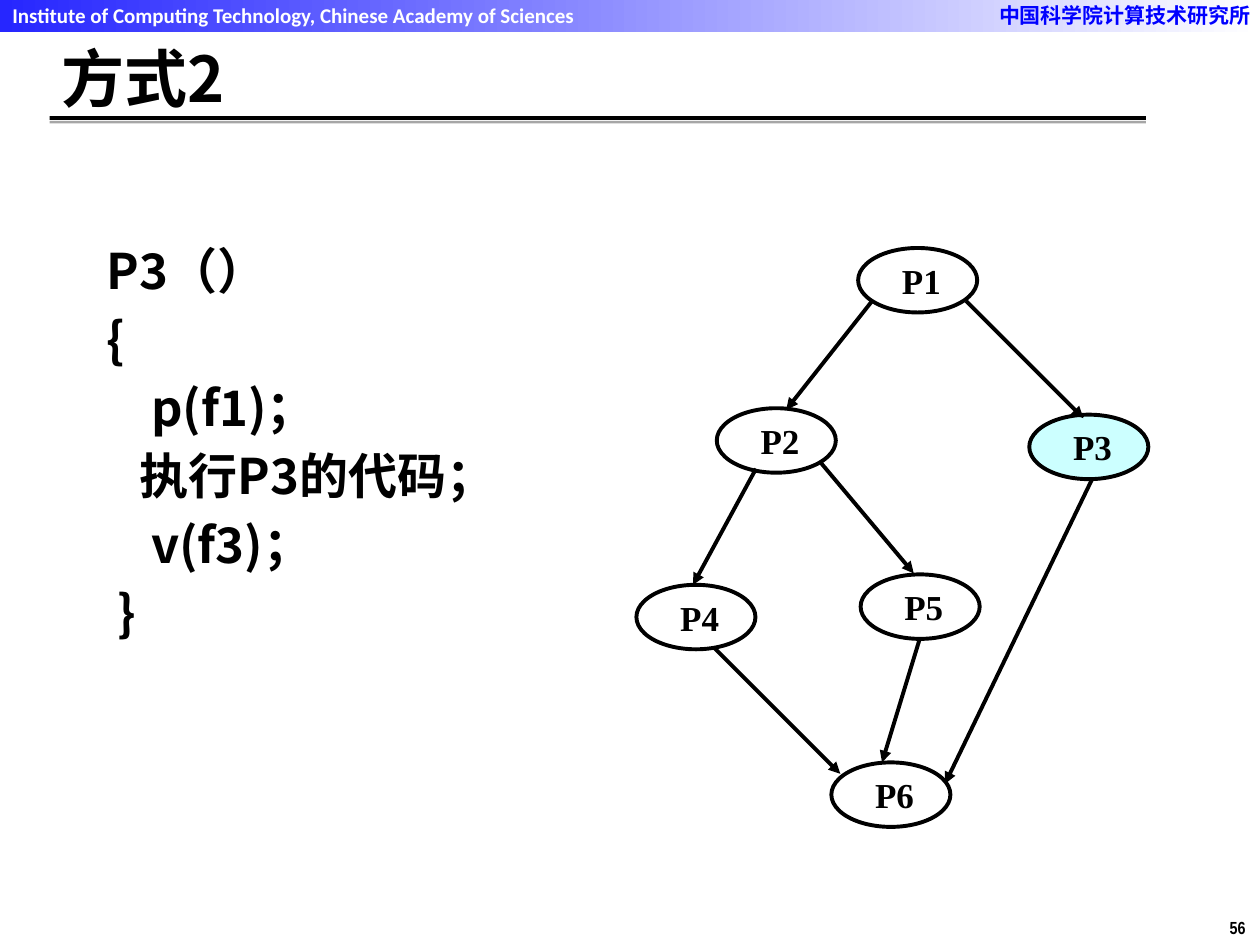
from lxml import etree
from pptx import Presentation
from pptx.dml.color import RGBColor
from pptx.enum.shapes import MSO_CONNECTOR, MSO_SHAPE
from pptx.enum.text import MSO_ANCHOR, PP_ALIGN
from pptx.oxml.ns import qn
from pptx.util import Cm, Pt

RECT, OVAL, STRAIGHT = MSO_SHAPE.RECTANGLE, MSO_SHAPE.OVAL, MSO_CONNECTOR.STRAIGHT
TOP, MIDDLE = MSO_ANCHOR.TOP, MSO_ANCHOR.MIDDLE
LEFT, CENTER, JUSTIFY = PP_ALIGN.LEFT, PP_ALIGN.CENTER, PP_ALIGN.JUSTIFY
CJK = "Noto Sans CJK SC"
BLACK, WHITE, BLUE, CYAN, GREY = "000000", "FFFFFF", "0000FF", "CCFFFF", "A6A6A6"

CODE = ["P3（）", "{", "    p(f1)；", "   执行P3的代码；", "    v(f3)；", " }"]
NODE_W, NODE_H = 2.4, 1.3
NODES = {
    "P1": (4.47, 0), "P2": (1.62, 3.23), "P3": (7.92, 3.36),
    "P4": (0, 6.79), "P5": (4.52, 6.58), "P6": (3.93, 10.37),
}
EDGES = [
    (4.75, 1.07, 3.02, 3.26), (6.65, 1.07, 9.01, 3.43),
    (2.41, 4.45, 1.14, 6.79), (3.71, 4.32, 5.59, 6.56),
    (1.57, 8.06, 4.11, 10.6), (5.71, 7.88, 4.95, 10.37),
    (9.19, 4.65, 6.22, 10.8),
]


def rgb(color):
    """Turn a hex string into a colour."""
    return RGBColor.from_string(color)


def style_text(tf, size, font, color, align=LEFT):
    """Format every run of a text frame in bold."""
    for p in tf.paragraphs:
        p.alignment = align
        for r in p.runs:
            r.font.size, r.font.name, r.font.bold = Pt(size), font, True
            r.font.color.rgb = rgb(color)
            etree.SubElement(r._r.get_or_add_rPr(), qn("a:ea"), typeface=font)


def add_text(s, box, text, size, font, color, align=LEFT, anchor=TOP, wrap=True):
    """Add a text box and return its frame."""
    tf = s.shapes.add_textbox(*map(Cm, box)).text_frame
    tf.word_wrap, tf.vertical_anchor = wrap, anchor
    tf.text = text
    style_text(tf, size, font, color, align)
    return tf


def add_shape(s, kind, box, fill=None):
    """Add a preset shape without line or shadow."""
    sp = s.shapes.add_shape(kind, *map(Cm, box))
    sp.shadow.inherit = False
    sp.line.fill.background()
    if fill:
        sp.fill.solid()
        sp.fill.fore_color.rgb = rgb(fill)
    return sp


def add_arrow(s, x1, y1, x2, y2):
    """Add a straight line with a triangle at its end."""
    line = s.shapes.add_connector(STRAIGHT, *map(Cm, (x1, y1, x2, y2)))
    line.line.color.rgb = rgb(BLACK)
    line.line.width = Pt(2.25)
    etree.SubElement(line.line._get_or_add_ln(), qn("a:tailEnd"), type="triangle")
    etree.SubElement(line._element.spPr, qn("a:effectLst"))


def add_banner(s, x, y, w, h):
    """Draw the gradient band with the institute's names."""
    fill = add_shape(s, RECT, (x, y, w, h)).fill
    fill.gradient()
    fill.gradient_angle = 0
    for stop, color in zip(fill.gradient_stops, ("2626FF", WHITE)):
        stop.color.rgb = rgb(color)
    add_text(s, (x, y - 0.08, 12.07, 0.76),
             "Institute of Computing Technology, Chinese Academy of Sciences",
             12, "Calibri", WHITE)
    add_text(s, (x + w - 5.51, y - 0.08, 5.69, 0.76), "中国科学院计算技术研究所",
             12, CJK, BLUE)


def add_title(s, x, y, w, h, text):
    """Write the title above its double rule."""
    add_text(s, (x, y, w, h), text, 36, CJK, BLACK, anchor=MIDDLE)
    add_shape(s, RECT, (x, y + h + 0.08, w, 0.08), BLACK)
    add_shape(s, RECT, (x, y + h + 0.18, w, 0.05), GREY)


def add_code(s, x, y, w, h):
    """Write the code of process P3."""
    tf = add_text(s, (x, y, w, h), "\n".join(CODE), 28, CJK, BLACK, JUSTIFY)
    for i, p in enumerate(tf.paragraphs):
        p.line_spacing = Pt(36)
        p.space_before = Pt(3 if i else 0)
        pPr = p._p.get_or_add_pPr()
        pPr.set("marL", str(Cm(0.96)))
        pPr.set("indent", str(-Cm(0.96)))


def add_graph(s, x, y):
    """Draw the precedence graph of the processes."""
    for name, (dx, dy) in NODES.items():
        fill = CYAN if name == "P3" else WHITE
        sp = add_shape(s, OVAL, (x + dx, y + dy, NODE_W, NODE_H), fill)
        sp.line.color.rgb = rgb(BLACK)
        sp.line.width = Pt(2.25)
        tf = sp.text_frame
        tf.margin_left = Cm(0.15)
        tf.margin_right = tf.margin_top = tf.margin_bottom = 0
        tf.vertical_anchor = MIDDLE
        tf.text = name
        style_text(tf, 20, "Times New Roman", BLACK, CENTER)
    for x1, y1, x2, y2 in EDGES:
        add_arrow(s, x + x1, y + y1, x + x2, y + y2)


def main():
    """Build the slide and save it."""
    prs = Presentation()
    prs.slide_width, prs.slide_height = Cm(25.4), Cm(19.05)
    s = prs.slides.add_slide(prs.slide_layouts[6])
    add_banner(s, 0, 0, 25.4, 0.64)
    add_title(s, 1, 0.84, 22.1, 1.42, "方式2")
    add_code(s, 1.9, 4.65, 8.79, 9.27)
    add_graph(s, 12.83, 5)
    add_text(s, (24.54, 18.36, 0.86, 0.69), "56", 10, "Arial Narrow", BLACK, wrap=False)
    prs.save("out.pptx")


if __name__ == "__main__":
    main()
